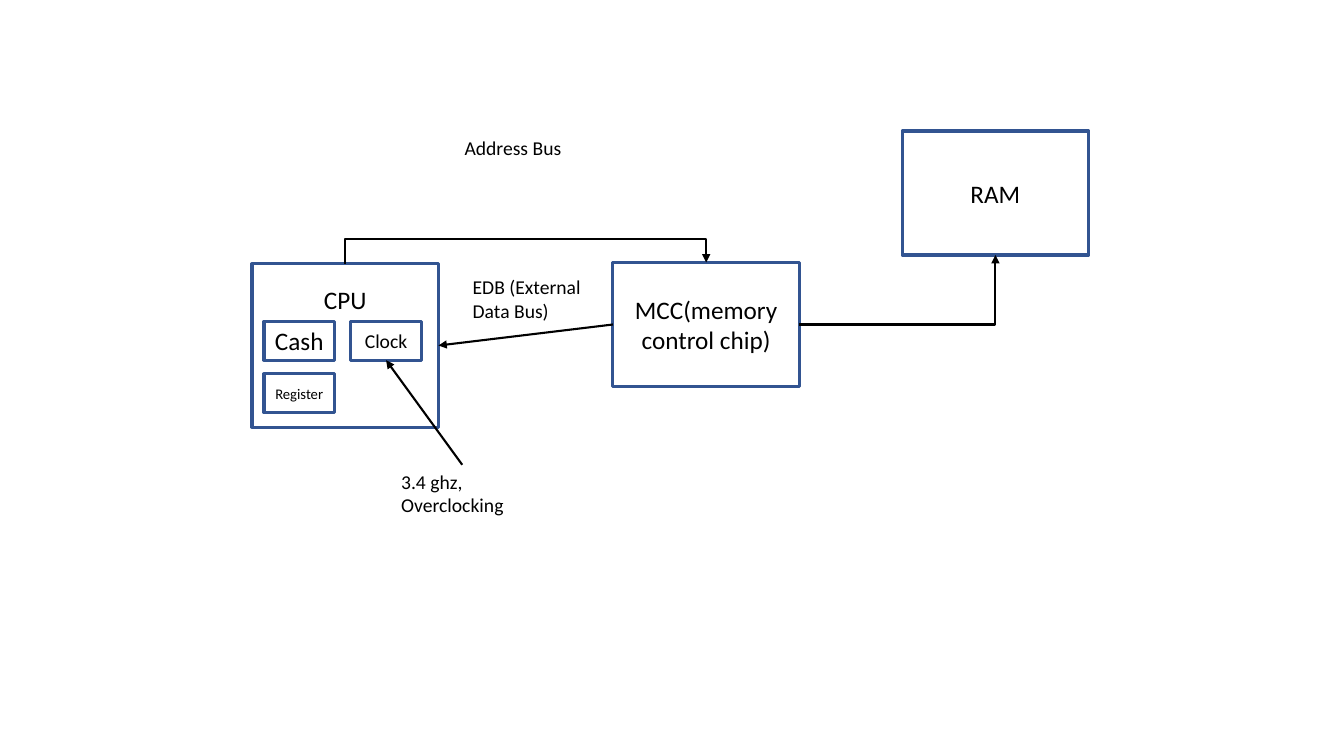
from pptx import Presentation
from pptx.dml.color import RGBColor
from pptx.enum.shapes import MSO_CONNECTOR as Link, MSO_SHAPE as Preset
from pptx.enum.text import MSO_ANCHOR as Anchor, PP_ALIGN as Align
from pptx.oxml.ns import qn
from pptx.util import Pt
from lxml.etree import SubElement

COLOURS = {"outline": "325491", "ink": "000000"}


class Diagram:
    """Draws boxes, labels and arrows on one page in a shared style."""

    def __init__(self, page, font="Calibri"):
        self.page = page
        self.font = font

    def colour(self, name):
        return RGBColor.from_string(COLOURS[name])

    def add_span(self, para, text, size):
        span = para.add_run()
        span.text = text
        span.font.name = self.font
        span.font.size = Pt(size)
        span.font.color.rgb = self.colour("ink")

    def box(self, left, top, width, height, text, size=18, inset=None):
        box = self.page.shapes.add_shape(
            Preset.RECTANGLE, Pt(left), Pt(top), Pt(width), Pt(height))
        box.shadow.inherit = False
        box.fill.background()
        box.line.color.rgb = self.colour("outline")
        box.line.width = Pt(2.25)
        frame = box.text_frame
        frame.word_wrap = True
        frame.vertical_anchor = Anchor.MIDDLE
        if inset is not None:
            frame.vertical_anchor = Anchor.TOP
            frame.margin_top = Pt(inset)
        para = frame.paragraphs[0]
        para.alignment = Align.CENTER
        self.add_span(para, text, size)

    def label(self, left, top, height, *lines):
        frame = self.page.shapes.add_textbox(
            Pt(left), Pt(top), Pt(101.5), Pt(height)).text_frame
        frame.word_wrap = True
        for index, line in enumerate(lines):
            para = frame.add_paragraph() if index else frame.paragraphs[0]
            self.add_span(para, line, 14)

    def arrow(self, start, end, kind=Link.STRAIGHT):
        arrow = self.page.shapes.add_connector(
            kind, *(Pt(value) for value in (*start, *end)))
        arrow.line.color.rgb = self.colour("ink")
        arrow.line.width = Pt(1.5)
        properties = arrow._element.spPr
        SubElement(properties.find(qn("a:ln")), qn("a:tailEnd"), type="triangle")
        SubElement(properties, qn("a:effectLst"))
        return properties

    def corner(self, start, end):
        properties = self.arrow(start, end, Link.ELBOW)
        properties.find(qn("a:prstGeom")).set("prst", "bentConnector2")

    def bridge(self, start, end, rise):
        """Go up from start by rise, across, and down to end."""
        middle_x, middle_y = (start[0] + end[0]) / 2, (start[1] + end[1]) / 2
        half_drop, half_span = (start[1] - end[1]) / 2, (end[0] - start[0]) / 2
        properties = self.arrow((middle_x + half_drop, middle_y + half_span),
                                (middle_x - half_drop, middle_y - half_span), Link.ELBOW)
        properties.find(qn("a:xfrm")).set("rot", str(90 * 60000))
        guides = properties.find(qn("a:prstGeom")).get_or_add_avLst()
        ratio = round(rise / (2 * half_drop) * 100000)
        SubElement(guides, qn("a:gd"), name="adj1", fmla=f"val {ratio}")


def main():
    deck = Presentation()
    deck.slide_width, deck.slide_height = Pt(960), Pt(540)
    diagram = Diagram(deck.slides.add_slide(deck.slide_layouts[6]))

    chip_width, chip_height = 133.2, 88.6
    part_width, part_height = 50.4, 27.6
    cpu_left, cpu_top, cpu_height = 180, 188.5, 116.6
    mcc_left, mcc_top = 437.8, 187.5
    ram_left, ram_top = 644.4, 93.6
    part_left, part_top, clock_left = 188.6, 229.7, 250.6
    mcc_middle = mcc_top + chip_height / 2

    diagram.box(cpu_left, cpu_top, chip_width, cpu_height, "CPU", inset=14.4)
    diagram.box(part_left, part_top, part_width, part_height, "Cash")
    diagram.box(clock_left, part_top, part_width, part_height, "Clock", 14)
    diagram.box(part_left, part_top + 37.4, part_width, part_height, "Register", 10.5)
    diagram.box(mcc_left, mcc_top, chip_width, chip_height, "MCC(memory control chip)")
    diagram.box(ram_left, ram_top, chip_width, chip_height, "RAM")

    diagram.label(324.7, 93.6, 24.2, "Address Bus")
    diagram.label(330.5, 193, 41.2, "EDB (External Data Bus)")
    diagram.label(279.4, 332, 41.2, "3.4 ghz,", "Overclocking")

    diagram.arrow((mcc_left, mcc_middle),
                  (cpu_left + chip_width, cpu_top + cpu_height / 2))
    diagram.arrow((330.2, 332), (clock_left + part_width / 2, part_top + part_height))
    diagram.bridge((cpu_left + chip_width / 2, cpu_top),
                   (mcc_left + chip_width / 2, mcc_top), rise=18)
    diagram.corner((mcc_left + chip_width, mcc_middle),
                   (ram_left + chip_width / 2, ram_top + chip_height))
    deck.save("out.pptx")


if __name__ == "__main__":
    main()
